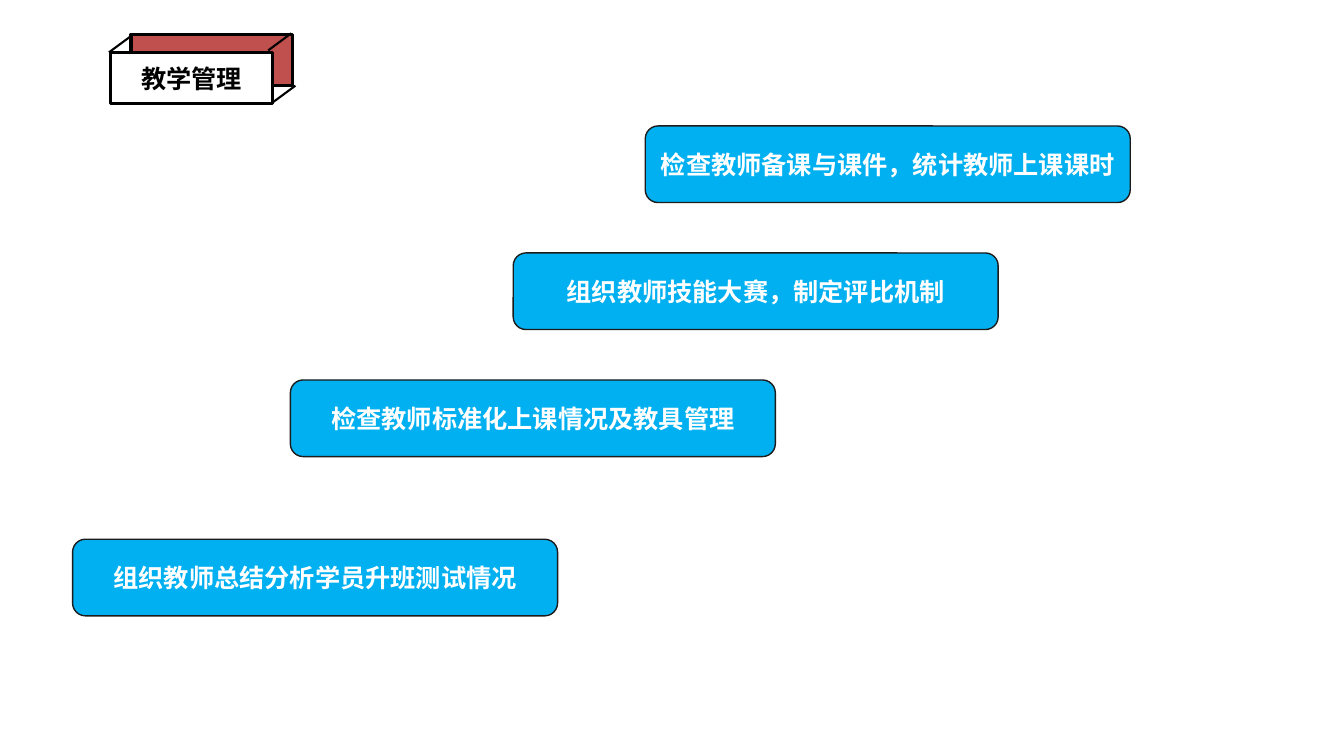
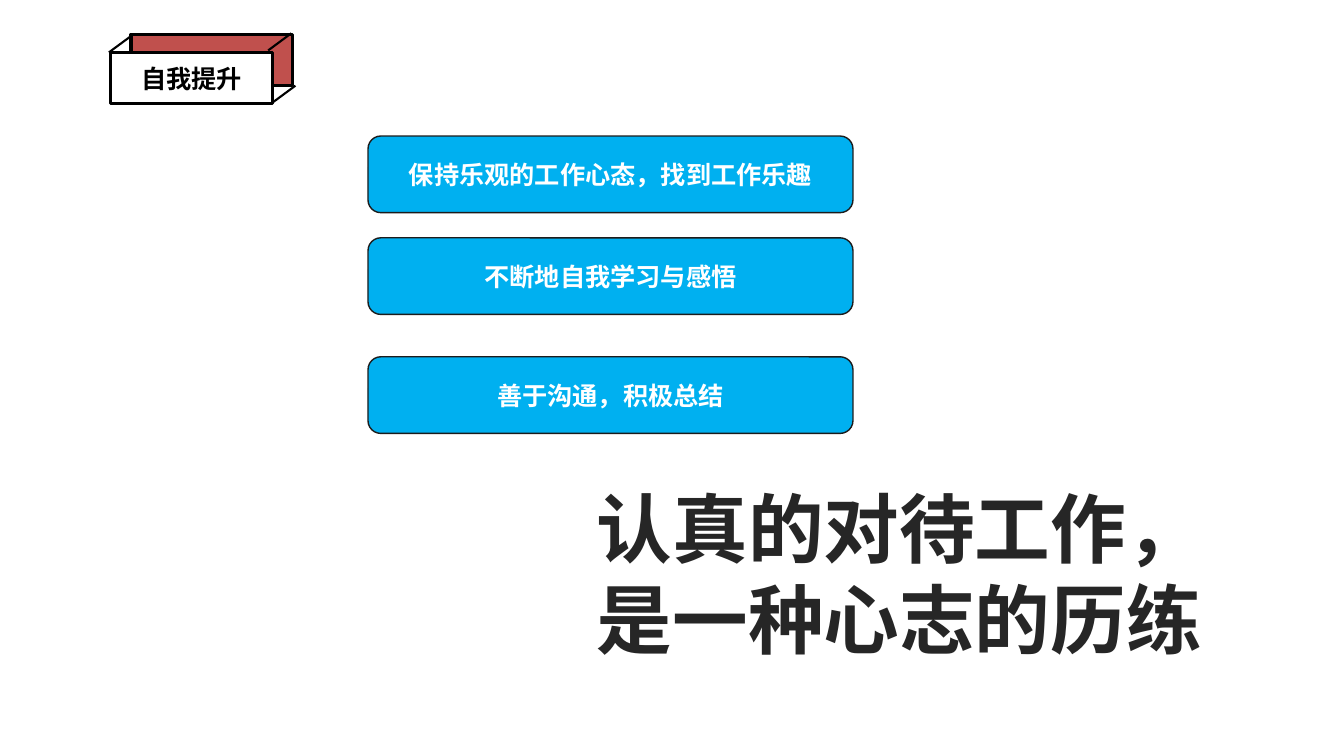
from dataclasses import dataclass

from lxml.etree import SubElement
from pptx import Presentation
from pptx.dml.color import RGBColor
from pptx.enum.shapes import MSO_CONNECTOR, MSO_SHAPE
from pptx.enum.text import MSO_ANCHOR, MSO_AUTO_SIZE, PP_ALIGN
from pptx.oxml.ns import qn
from pptx.util import Inches, Pt


@dataclass(frozen=True)
class Theme:
    # Colours
    black: RGBColor = RGBColor(0x00, 0x00, 0x00)
    white: RGBColor = RGBColor(0xFF, 0xFF, 0xFF)
    red: RGBColor = RGBColor(0xC0, 0x50, 0x4D)
    blue: RGBColor = RGBColor(0x00, 0xB0, 0xF0)
    bar_line: RGBColor = RGBColor(0x1C, 0x1C, 0x1C)
    slogan: RGBColor = RGBColor(0x26, 0x26, 0x26)
    # Fonts and sizes in points
    text_font: str = "Noto Sans CJK SC"
    slogan_font: str = "Calibri"
    text_size: int = 18
    slogan_size: int = 54


class Deck:
    """Holds the theme and the current slide; one method per element."""

    BAR_SIZE = (4.81, 0.76)
    TAB_SIZE = (1.6, 0.51)
    TAB_FRONT = (1.1, 0.52)
    TAB_BACK = (1.3, 0.34)
    EDGE_STARTS = [(1.31, 0.35), (2.89, 0.33), (2.93, 0.85)]
    EDGE_RUN = (-0.23, 0.17)

    def __init__(self, theme):
        self.theme = theme
        self.prs = Presentation()
        self.prs.slide_width = Inches(13.33)
        self.prs.slide_height = Inches(7.5)
        self.s = None

    def new_slide(self, title):
        self.s = self.prs.slides.add_slide(self.prs.slide_layouts[5])
        self.title_box(title)

    def paint(self, sp, fill, line, width):
        sp.fill.solid()
        sp.fill.fore_color.rgb = fill
        sp.line.color.rgb = line
        sp.line.width = Pt(width)

    def set_text(self, sp, lines, size, color, font):
        tf = sp.text_frame
        tf.text = "\n".join(lines)
        tf.vertical_anchor = MSO_ANCHOR.MIDDLE
        tf.auto_size = MSO_AUTO_SIZE.NONE
        for p in tf.paragraphs:
            p.alignment = PP_ALIGN.CENTER
            p.font.size = Pt(size)
            p.font.bold = True
            p.font.color.rgb = color
            p.font.name = font
            # East Asian typeface follows the Latin one
            props = p._p.pPr.find(qn("a:defRPr"))
            SubElement(props, qn("a:ea")).set("typeface", font)

    def shape(self, kind, at, size):
        sp = self.s.shapes.add_shape(kind, *map(Inches, at + size))
        sp.shadow.inherit = False
        return sp

    def edge(self, start):
        end = [a + d for a, d in zip(start, self.EDGE_RUN)]
        line = self.s.shapes.add_connector(
            MSO_CONNECTOR.STRAIGHT, *map(Inches, [*start, *end]))
        line.line.color.rgb = self.theme.black
        line.line.width = Pt(1.5)
        SubElement(line._element.spPr, qn("a:effectLst"))

    def title_box(self, text):
        t = self.theme
        back = self.shape(MSO_SHAPE.RECTANGLE, self.TAB_BACK, self.TAB_SIZE)
        self.paint(back, t.red, t.black, 2.25)
        # Title placeholder forms the front face
        sp = self.s.shapes.title
        sp.left, sp.top, sp.width, sp.height = map(
            Inches, self.TAB_FRONT + self.TAB_SIZE)
        self.paint(sp, t.white, t.black, 2.25)
        self.set_text(sp, [text], t.text_size, t.black, t.text_font)
        back._element.addnext(sp._element)
        for start in self.EDGE_STARTS:
            self.edge(start)

    def bar(self, left, top, text):
        t = self.theme
        sp = self.shape(MSO_SHAPE.ROUNDED_RECTANGLE, (left, top), self.BAR_SIZE)
        self.paint(sp, t.blue, t.bar_line, 1)
        self.set_text(sp, [text], t.text_size, t.white, t.text_font)

    def slogan(self, at, size, lines):
        t = self.theme
        sp = self.s.shapes.add_textbox(*map(Inches, at + size))
        self.set_text(sp, lines, t.slogan_size, t.slogan, t.slogan_font)
        sp.text_frame.word_wrap = False


def main():
    deck = Deck(Theme())

    # Teaching management: descending steps
    deck.new_slide("教学管理")
    for left, top, text in [
        (6.4, 1.25, "检查教师备课与课件，统计教师上课课时"),
        (5.09, 2.51, "组织教师技能大赛，制定评比机制"),
        (2.88, 3.77, "检查教师标准化上课情况及教具管理"),
        (0.72, 5.35, "组织教师总结分析学员升班测试情况"),
    ]:
        deck.bar(left, top, text)

    # Self-improvement: one column and a slogan
    deck.new_slide("自我提升")
    for top, text in [
        (1.35, "保持乐观的工作心态，找到工作乐趣"),
        (2.36, "不断地自我学习与感悟"),
        (3.54, "善于沟通，积极总结"),
    ]:
        deck.bar(3.65, top, text)
    deck.slogan((5.79, 4.72), (6.26, 1.92),
                ["认真的对待工作，", "是一种心志的历练"])

    deck.prs.save("out.pptx")


if __name__ == "__main__":
    main()
